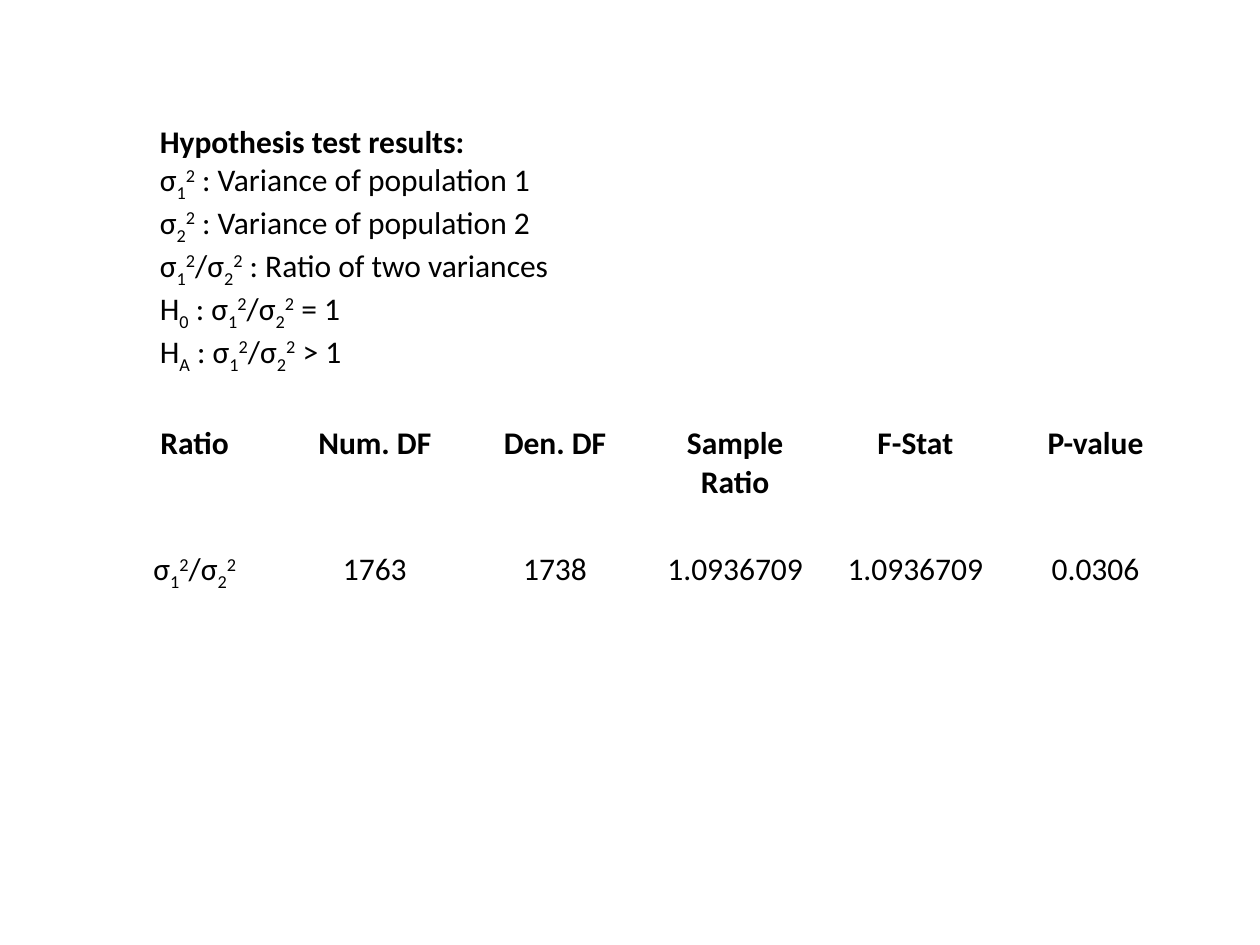
from dataclasses import dataclass
from itertools import chain

from pptx import Presentation
from pptx.dml.color import RGBColor
from pptx.enum.text import MSO_ANCHOR, MSO_AUTO_SIZE, PP_ALIGN
from pptx.util import Inches, Pt

BLACK, WHITE = "000000", "FFFFFF"
BASELINES = {"_": "-25000", "^": "30000"}  # marks the next character
RATIO = "σ_1^2/σ_2^2"


@dataclass(frozen=True)
class Line:
    text: str
    bold: bool = False


@dataclass(frozen=True)
class Box:
    left: float
    top: float
    width: float
    height: float

    def lengths(self) -> tuple:
        return tuple(map(Inches, (self.left, self.top, self.width, self.height)))


RESULTS = [
    Line("Hypothesis test results:", bold=True),
    Line("σ_1^2 : Variance of population 1"),
    Line("σ_2^2 : Variance of population 2"),
    Line(f"{RATIO} : Ratio of two variances"),
    Line(f"H_0 : {RATIO} = 1"),
    Line(f"H_A : {RATIO} > 1"),
]
HEADINGS = ["Ratio", "Num. DF", "Den. DF", "Sample Ratio", "F-Stat", "P-value"]
VALUES = [RATIO, "1763", "1738", "1.0936709", "1.0936709", "0.0306"]


def color(hex_value: str) -> RGBColor:
    return RGBColor.from_string(hex_value)


def split_scripts(text: str) -> list:
    """Split text into (piece, baseline) pairs."""
    pieces, plain, marks = [], "", iter(text)
    for char in marks:
        if char in BASELINES:
            pieces += [(plain, None), (next(marks), BASELINES[char])]
            plain = ""
        else:
            plain += char
    return [pair for pair in pieces + [(plain, None)] if pair[0]]


def write_line(paragraph, line: Line) -> None:
    for piece, baseline in split_scripts(line.text):
        run = paragraph.add_run()
        run.text = piece
        font_format = {"name": "Calibri", "size": Pt(18), "bold": line.bold}
        for name, value in font_format.items():
            setattr(run.font, name, value)
        run.font.color.rgb = color(BLACK)
        if baseline:
            run.font._element.set("baseline", baseline)


def add_results(slide, box: Box, lines: list[Line]) -> None:
    frame = slide.shapes.add_textbox(*box.lengths()).text_frame
    frame.word_wrap = True
    frame.auto_size = MSO_AUTO_SIZE.SHAPE_TO_FIT_TEXT
    paragraph = frame.paragraphs[0]
    paragraph.font.size = Pt(18)
    for index, line in enumerate(lines):
        if index:
            paragraph.add_line_break()
        write_line(paragraph, line)


def add_statistics(slide, box: Box, rows: list[list[Line]]) -> None:
    table = slide.shapes.add_table(len(rows), len(rows[0]), *box.lengths()).table
    table.first_row = table.horz_banding = False
    cell_format = {f"margin_{side}": Inches(0.04)
                   for side in ("left", "top", "right", "bottom")}
    cell_format["vertical_anchor"] = MSO_ANCHOR.TOP
    for cell, line in zip(table.iter_cells(), chain.from_iterable(rows)):
        for name, value in cell_format.items():
            setattr(cell, name, value)
        cell.fill.solid()
        cell.fill.fore_color.rgb = color(WHITE)
        paragraph = cell.text_frame.paragraphs[0]
        paragraph.alignment = PP_ALIGN.CENTER
        write_line(paragraph, line)


def main() -> None:
    deck = Presentation()
    deck.slide_width, deck.slide_height = Inches(10), Inches(7.5)
    slide = deck.slides.add_slide(deck.slide_layouts[6])

    # Hypotheses and definitions
    add_results(slide, Box(1.17, 0.92, 7.33, 1.92), RESULTS)

    # Test statistics
    add_statistics(slide, Box(0.83, 3.33, 8.58, 2), [
        [Line(heading, bold=True) for heading in HEADINGS],
        [Line(value) for value in VALUES],
    ])
    deck.save("out.pptx")


if __name__ == "__main__":
    main()
